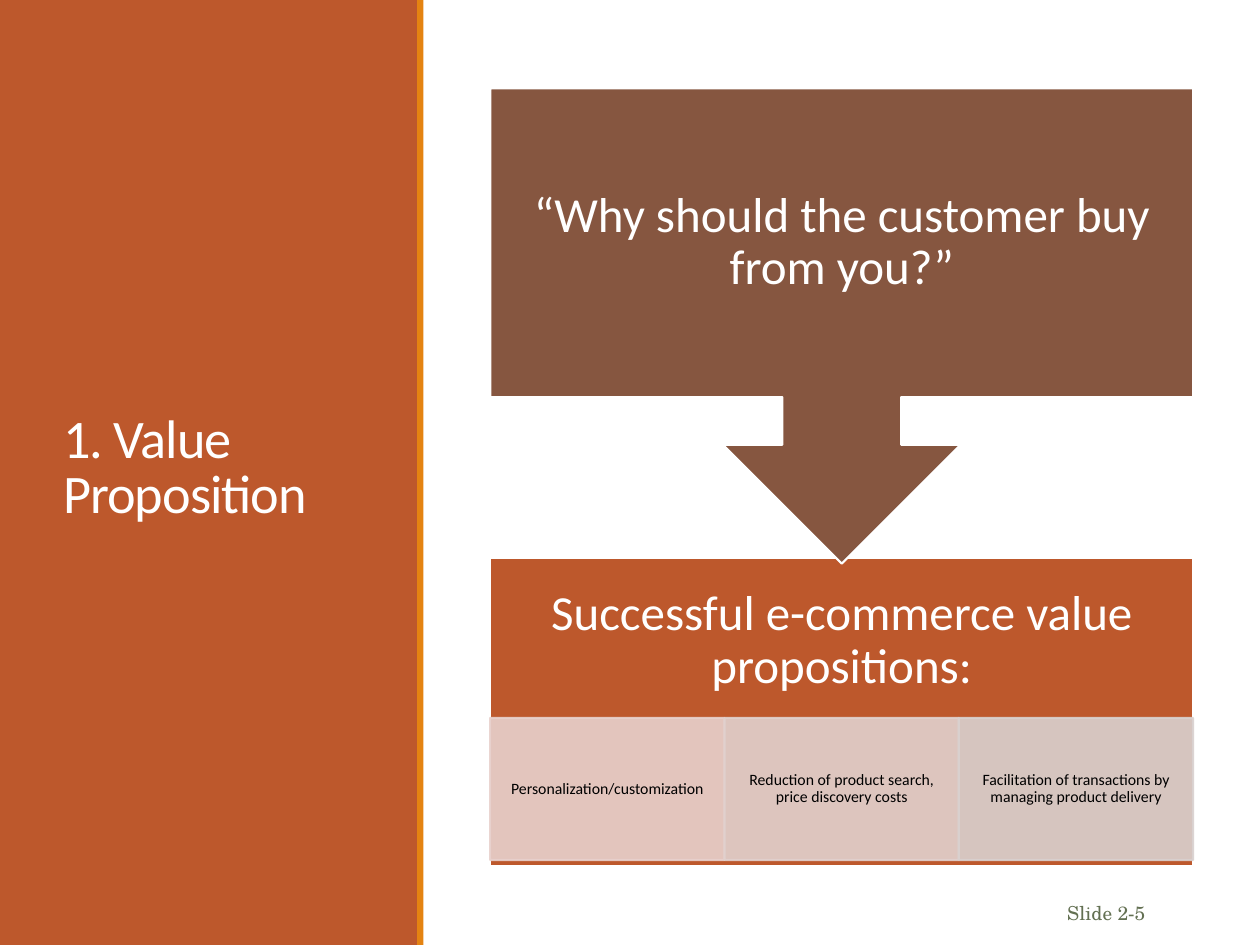
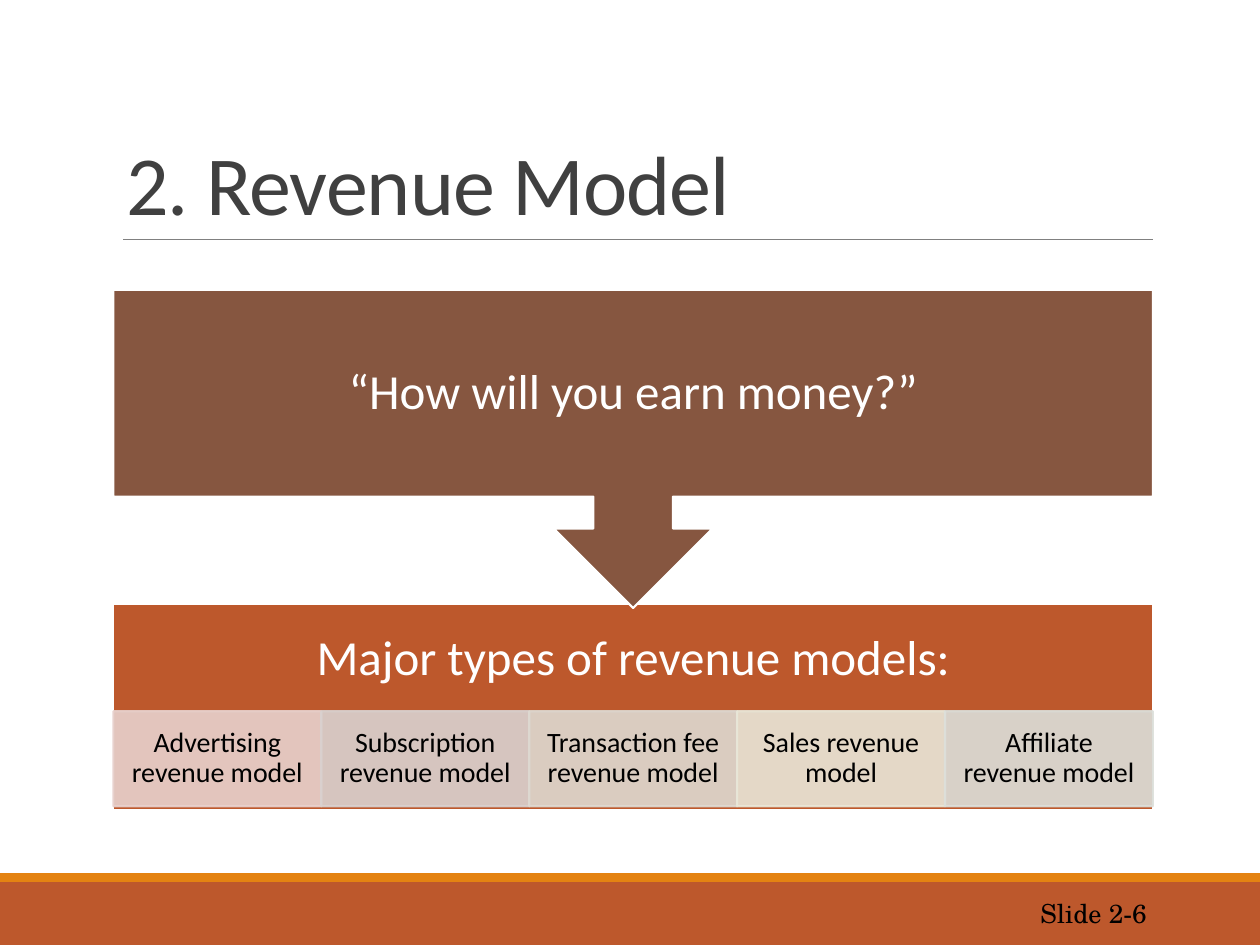
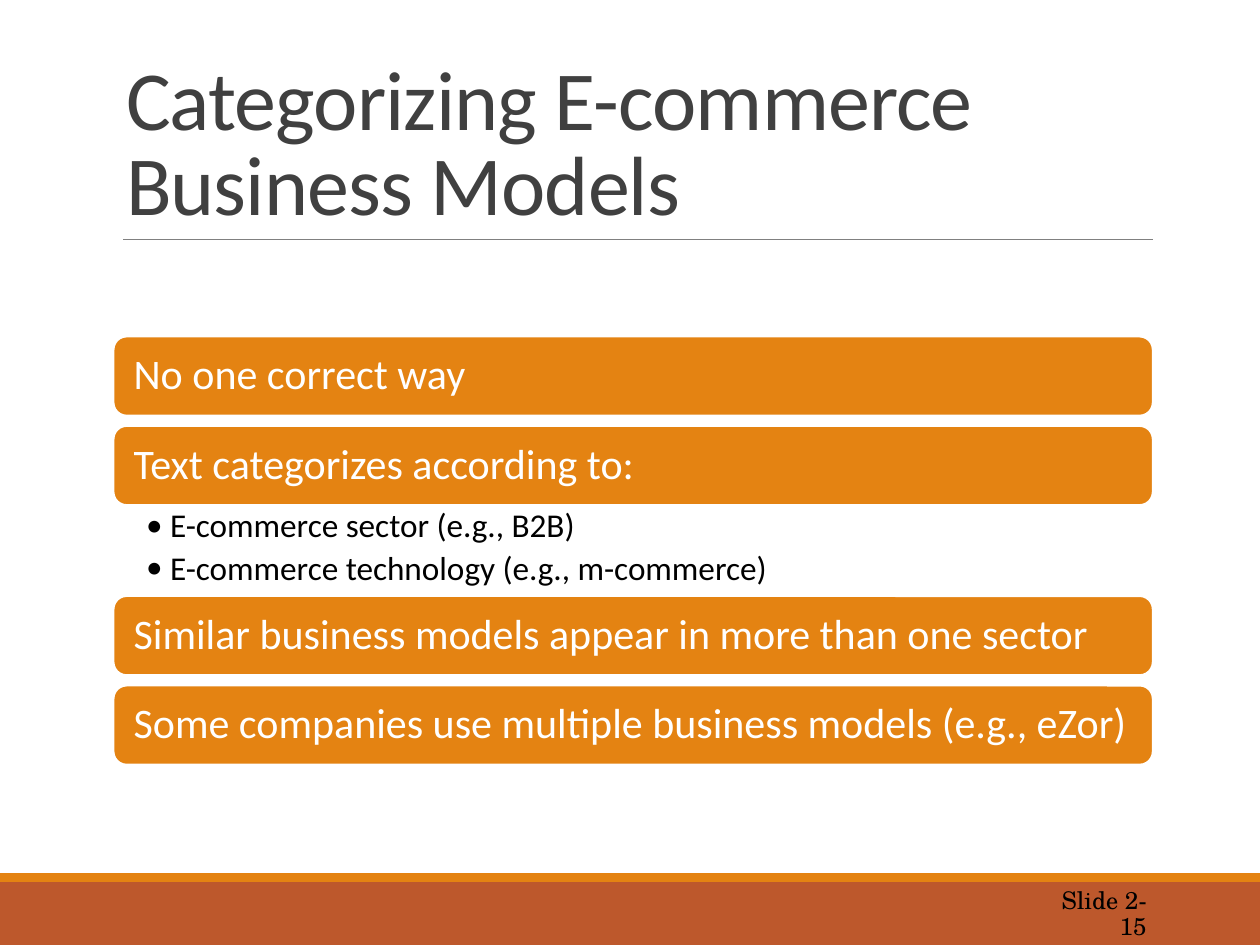
from dataclasses import dataclass
from typing import Any, NamedTuple

from lxml import etree
from pptx import Presentation
from pptx.dml.color import RGBColor
from pptx.enum.shapes import MSO_CONNECTOR, MSO_SHAPE
from pptx.enum.text import MSO_ANCHOR, MSO_AUTO_SIZE, PP_ALIGN
from pptx.oxml.ns import qn
from pptx.util import Inches, Pt

RECT = MSO_SHAPE.RECTANGLE
ROUNDED = MSO_SHAPE.ROUNDED_RECTANGLE
CALLOUT = MSO_SHAPE.UP_ARROW_CALLOUT
STRAIGHT = MSO_CONNECTOR.STRAIGHT
LEFT, CENTER, RIGHT = PP_ALIGN.LEFT, PP_ALIGN.CENTER, PP_ALIGN.RIGHT
TOP, MIDDLE, BOTTOM = MSO_ANCHOR.TOP, MSO_ANCHOR.MIDDLE, MSO_ANCHOR.BOTTOM
TITLE_ONLY = 5


class TextStyle(NamedTuple):
    size: float
    color: str
    align: Any = LEFT
    anchor: Any = MIDDLE
    font: str = "Calibri"
    line_spacing: float = 0.9
    space_after: float = 0
    tracking: float = 0


@dataclass(frozen=True)
class Theme:
    rust: str = "BD582C"
    orange: str = "E48312"
    brown: str = "865640"
    white: str = "FFFFFF"
    black: str = "000000"
    rule: str = "808080"
    outline: float = 1.25
    cell_opacity: int = 90
    footer_font: str = "TeX Gyre Schola"
    title: TextStyle = TextStyle(48, "404040", anchor=BOTTOM, line_spacing=0.85, tracking=-0.5)
    panel_title: TextStyle = TextStyle(31, "FFFFFF", line_spacing=0.85, tracking=-0.5)
    flow: TextStyle = TextStyle(28, "FFFFFF", CENTER)
    bar: TextStyle = TextStyle(24, "FFFFFF")
    bullet: TextStyle = TextStyle(19, "000000", anchor=TOP, space_after=3.8)

    def cell(self, size: float) -> TextStyle:
        return TextStyle(size, self.black, CENTER)

    def footer(self, size: float, color: str) -> TextStyle:
        return TextStyle(size, color, RIGHT, font=self.footer_font)


THEME = Theme()


class Box(NamedTuple):
    left: float
    top: float
    width: float
    height: float

    def emu(self) -> list:
        return [Inches(value) for value in self]


class Margins(NamedTuple):
    left: float = 0.1
    top: float = 0.05
    right: float = 0.1
    bottom: float = 0.05


class Answer(NamedTuple):
    text: str
    tint: str


@dataclass(frozen=True)
class Flow:
    """A question whose arrow points to a base with a row of answers."""
    left: float
    top: float
    width: float
    base_height: float
    question: str
    heading: str
    answers: list[Answer]
    answer_size: float
    answer_margins: Margins


class Topic(NamedTuple):
    text: str
    details: tuple[str, ...] = ()


CONTENT_LEFT, CONTENT_WIDTH = 0.9, 8.25
TITLE_BOX = Box(CONTENT_LEFT, 0.31, CONTENT_WIDTH, 1.59)
FOOTER_BOX = Box(8.12, 7.06, 1.08, 0.4)

VALUE_FLOW = Flow(
    3.89, 0.7, 5.58, 2.45,
    "“Why should the customer buy from you?”",
    "Successful e-commerce value propositions:",
    [
        Answer("Personalization/customization", "E8D1CD"),
        Answer("Reduction of product search, price discovery costs", "E1D1CE"),
        Answer("Facilitation of transactions by managing product delivery", "D9D1CF"),
    ],
    9, Margins(0.07, 0.01, 0.07, 0.01),
)
REVENUE_FLOW = Flow(
    CONTENT_LEFT, 2.3, CONTENT_WIDTH, 1.64,
    "“How will you earn money?”",
    "Major types of revenue models:",
    [
        Answer("Advertising revenue model", "E8D1CD"),
        Answer("Subscription revenue model", "D9D1CF"),
        Answer("Transaction fee revenue model", "DED9D1"),
        Answer("Sales revenue model", "E9E7D8"),
        Answer("Affiliate revenue model", "DCDFDA"),
    ],
    16, Margins(0.12, 0.02, 0.12, 0.02),
)
TOPICS = [
    Topic("No one correct way"),
    Topic("Text categorizes according to:",
          ("E-commerce sector (e.g., B2B)", "E-commerce technology (e.g., m-commerce)")),
    Topic("Similar business models appear in more than one sector"),
    Topic("Some companies use multiple business models (e.g., eZor)"),
]


# Basic drawing
def set_all(target: Any, values: dict[str, Any]) -> None:
    for name, value in values.items():
        setattr(target, name, value)


def write(shape: Any, lines: list[str], style: TextStyle, margins: Margins = Margins()) -> None:
    frame = shape.text_frame
    set_all(frame, {
        "auto_size": MSO_AUTO_SIZE.NONE, "word_wrap": True, "vertical_anchor": style.anchor,
        **{f"margin_{side}": Inches(value) for side, value in margins._asdict().items()},
    })
    frame.text = "\n".join(lines)
    for paragraph in frame.paragraphs:
        set_all(paragraph, {"alignment": style.align, "line_spacing": style.line_spacing,
                            "space_after": Pt(style.space_after)})
        for run in paragraph.runs:
            set_all(run.font, {"name": style.font, "size": Pt(style.size)})
            run.font.color.rgb = RGBColor.from_string(style.color)
            if style.tracking:
                run.font._element.set("spc", str(int(style.tracking * 100)))


def add_text(slide: Any, box: Box, lines: list[str], style: TextStyle,
             margins: Margins = Margins()) -> Any:
    text_box = slide.shapes.add_textbox(*box.emu())
    write(text_box, lines, style, margins)
    return text_box


def add_block(slide: Any, kind: Any, box: Box, fill: str, outline: str | None = None,
              opacity: int = 100) -> Any:
    block = slide.shapes.add_shape(kind, *box.emu())
    block.shadow.inherit = False
    block.fill.solid()
    block.fill.fore_color.rgb = RGBColor.from_string(fill)
    if outline:
        block.line.color.rgb = RGBColor.from_string(outline)
        block.line.width = Pt(THEME.outline)
    else:
        block.line.fill.background()
    if opacity < 100:
        for color in block._element.spPr.iter(qn("a:srgbClr")):
            etree.SubElement(color, qn("a:alpha"), val=str(opacity * 1000))
    return block


# Shared slide parts
def place_title(slide: Any, text: str, box: Box, style: TextStyle) -> None:
    title = slide.shapes.title
    set_all(title, dict(zip(("left", "top", "width", "height"), box.emu())))
    write(title, [text], style)
    slide.shapes.element.append(title._element)  # bring to front


def add_standard_slide(deck: Any, title: str, footer: str, footer_size: float) -> Any:
    slide = deck.slides.add_slide(deck.slide_layouts[TITLE_ONLY])
    add_block(slide, RECT, Box(0, 7, 10, 0.5), THEME.rust)
    add_block(slide, RECT, Box(0, 6.93, 10, 0.07), THEME.orange)
    rule = slide.shapes.add_connector(STRAIGHT, Inches(0.98), Inches(1.9), Inches(9.15), Inches(1.9))
    rule.line.color.rgb = RGBColor.from_string(THEME.rule)
    rule.line.width = Pt(0.5)
    etree.SubElement(rule._element.spPr, qn("a:effectLst"))
    place_title(slide, title, TITLE_BOX, THEME.title)
    add_text(slide, FOOTER_BOX, [footer], THEME.footer(footer_size, THEME.black))
    return slide


def add_panel_slide(deck: Any, title: str, footer: str) -> Any:
    slide = deck.slides.add_slide(deck.slide_layouts[TITLE_ONLY])
    add_block(slide, RECT, Box(0, 0, 3.32, 7.5), THEME.rust)
    add_block(slide, RECT, Box(3.31, 0, 0.05, 7.5), THEME.orange)
    place_title(slide, title, Box(0.4, 0.57, 2.53, 6.31), THEME.panel_title)
    add_text(slide, Box(8.3, 7.06, 0.89, 0.4), [footer], THEME.footer(11, "637052"))
    return slide


# Content
def add_flow(slide: Any, flow: Flow) -> None:
    unit = flow.base_height
    base_top = flow.top + 1.52 * unit
    margins = Margins(0.22, 0.22, 0.22, 0.22)

    def band(top: float, share: float) -> Box:
        return Box(flow.left, top, flow.width, share * unit)

    # Base with its heading and answers
    add_block(slide, RECT, band(base_top, 1), THEME.rust, THEME.white)
    add_text(slide, band(base_top, 0.54), [flow.heading], THEME.flow, margins)
    answer_width = flow.width / len(flow.answers)
    for index, answer in enumerate(flow.answers):
        box = Box(flow.left + index * answer_width, base_top + 0.52 * unit,
                  answer_width, 0.46 * unit)
        cell = add_block(slide, RECT, box, answer.tint, answer.tint, THEME.cell_opacity)
        write(cell, [answer.text], THEME.cell(flow.answer_size), flow.answer_margins)

    # Question, with the callout turned to point down
    callout = add_block(slide, CALLOUT, band(flow.top, 1.54), THEME.brown, THEME.white)
    callout.rotation = 180
    add_text(slide, band(flow.top, 1), [flow.question], THEME.flow, margins)


def add_details(slide: Any, box: Box, details: tuple[str, ...]) -> None:
    text_box = add_text(slide, box, list(details), THEME.bullet, Margins(0.26, 0.03, 0.19, 0.03))
    for paragraph in text_box.text_frame.paragraphs:
        properties = paragraph._p.get_or_add_pPr()
        properties.set("marL", str(Inches(0.19)))
        properties.set("indent", str(-Inches(0.19)))
        etree.SubElement(properties, qn("a:buFont"), typeface="Calibri")
        etree.SubElement(properties, qn("a:buChar"), char="•")


def add_topics(slide: Any, topics: list[Topic], top: float) -> None:
    bar_height, gap, details_height = 0.63, 0.08, 0.72
    for topic in topics:
        box = Box(CONTENT_LEFT, top, CONTENT_WIDTH, bar_height)
        bar = add_block(slide, ROUNDED, box, THEME.orange, THEME.white)
        write(bar, [topic.text], THEME.bar, Margins(0.13, 0.13, 0.13, 0.13))
        top += bar_height
        if topic.details:
            add_details(slide, Box(CONTENT_LEFT, top, CONTENT_WIDTH, details_height), topic.details)
            top += details_height
        else:
            top += gap


def main() -> None:
    deck = Presentation()
    deck.slide_width, deck.slide_height = Inches(10), Inches(7.5)

    add_flow(add_panel_slide(deck, "1. Value Proposition", "Slide 2-5"), VALUE_FLOW)
    add_flow(add_standard_slide(deck, "2. Revenue Model", "Slide 2-6", 15), REVENUE_FLOW)
    categories = add_standard_slide(
        deck, "Categorizing E-commerce\vBusiness Models", "Slide 2-15", 13.9)
    add_topics(categories, TOPICS, 2.67)

    deck.save("out.pptx")


if __name__ == "__main__":
    main()
